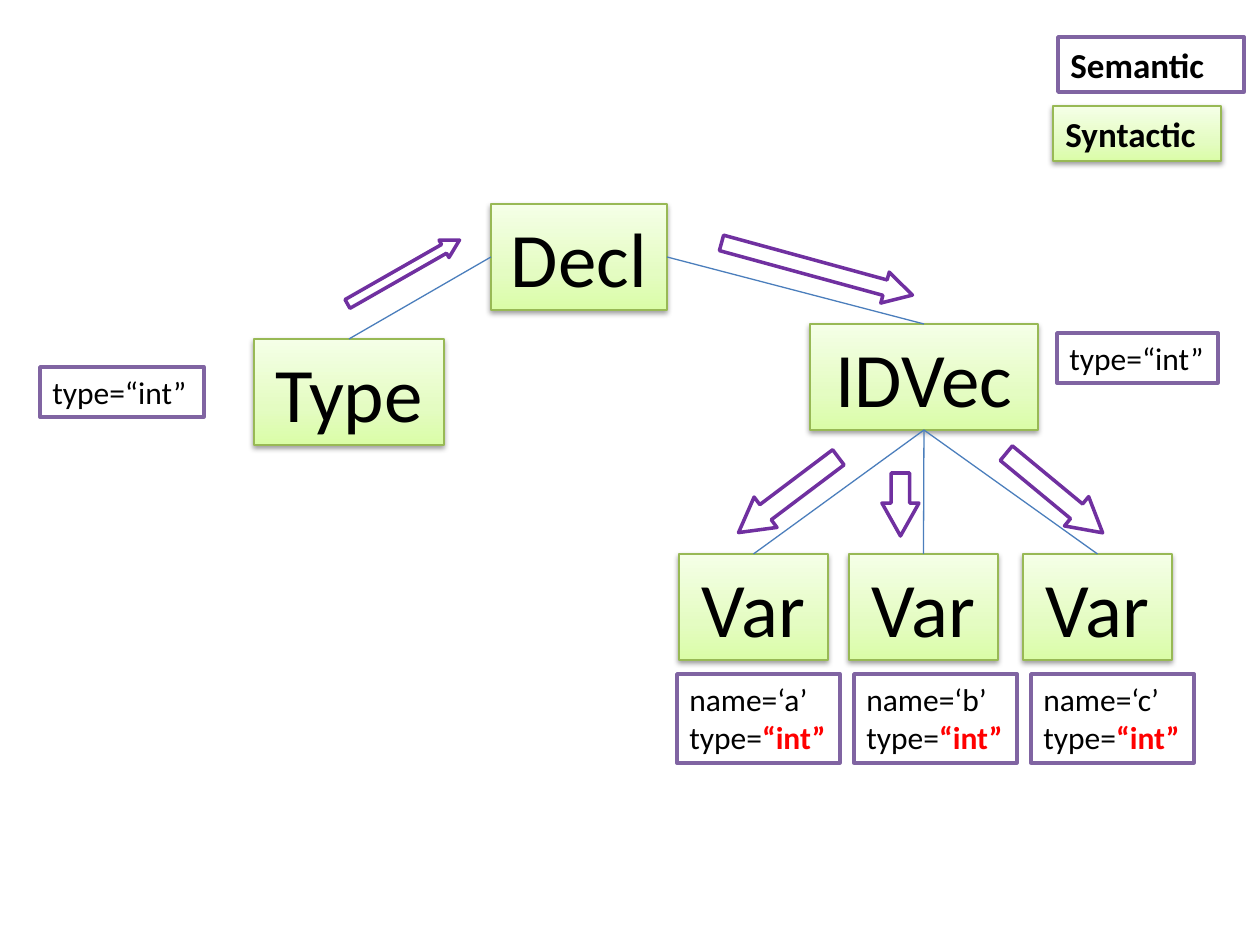
from copy import deepcopy

from lxml.etree import SubElement
from pptx import Presentation
from pptx.dml.color import RGBColor
from pptx.enum.shapes import MSO_CONNECTOR, MSO_SHAPE
from pptx.enum.text import MSO_ANCHOR, MSO_AUTO_SIZE, PP_ALIGN
from pptx.oxml.ns import qn
from pptx.util import Emu, Pt

TOP, LEFT, BOTTOM, RIGHT = range(4)


def px(length):
    return Emu(round(length * 914400 / 126))


def color(value):
    return RGBColor.from_string(value)


class TreeSlide:
    font = "Calibri"
    black, white, red = "000000", "FFFFFF", "FF0000"
    green_line, blue, violet, purple = "98B955", "4B7EBC", "8064A2", "7030A0"
    green_stops = [(0, "DAFDA7"), (0.35, "E4FCC2"), (1, "F5FFE7")]

    def __init__(self, deck):
        self.page = deck.slides.add_slide(deck.slide_layouts[6])

    def shape(self, kind, area, line, width):
        shape = self.page.shapes.add_shape(kind, *map(px, area))
        shape.shadow.inherit = False
        shape.fill.solid()
        shape.fill.fore_color.rgb = color(self.white)
        shape.line.color.rgb = color(line)
        shape.line.width = Pt(width)
        return shape

    def add_text(self, box, paragraphs, size, align=PP_ALIGN.LEFT, bold=False, wrap=True):
        """Each paragraph is a list of (text, format values) spans."""
        frame = box.text_frame
        settings = {"word_wrap": wrap, "vertical_anchor": MSO_ANCHOR.TOP,
                    "auto_size": MSO_AUTO_SIZE.SHAPE_TO_FIT_TEXT}
        for name, value in settings.items():
            setattr(frame, name, value)
        for index, spans in enumerate(paragraphs):
            para = frame.add_paragraph() if index else frame.paragraphs[0]
            para.alignment = align
            for text, changes in spans:
                span = para.add_run()
                span.text = text
                values = {"name": self.font, "size": Pt(size), "bold": bold,
                          "color": self.black, **changes}
                span.font.color.rgb = color(values.pop("color"))
                for name, value in values.items():
                    setattr(span.font, name, value)

    def green_box(self, area, text, size=44, align=PP_ALIGN.CENTER, bold=False):
        box = self.shape(MSO_SHAPE.RECTANGLE, area, self.green_line, 0.75)
        box.fill.gradient()
        box.fill.gradient_angle = 90
        properties = box._element.spPr
        stop_list = properties.find(qn("a:gradFill")).find(qn("a:gsLst"))
        stop_list.append(deepcopy(stop_list[0]))
        for stop, (position, shade) in zip(box.fill.gradient_stops, self.green_stops):
            stop.position = position
            stop.color.rgb = color(shade)
        # Soft shadow straight below
        shadow = SubElement(properties.find(qn("a:effectLst")), qn("a:outerShdw"),
                            blurRad=str(Pt(3.1)), dist=str(Pt(1.6)),
                            dir="5400000", rotWithShape="0")
        shade = SubElement(shadow, qn("a:srgbClr"), val=self.black)
        SubElement(shade, qn("a:alpha"), val="38000")
        self.add_text(box, [[(text, {})]], size, align, bold)
        return box

    def violet_box(self, area, paragraphs, size=18, bold=False, wrap=False):
        box = self.shape(MSO_SHAPE.RECTANGLE, area, self.violet, 2)
        self.add_text(box, paragraphs, size, bold=bold, wrap=wrap)

    def edge(self, parent, parent_side, child):
        line = self.page.shapes.add_connector(MSO_CONNECTOR.STRAIGHT, 0, 0, 0, 0)
        line.begin_connect(parent, parent_side)
        line.end_connect(child, TOP)
        line.line.color.rgb = color(self.blue)
        line.line.width = Pt(0.75)
        SubElement(line._element.spPr, qn("a:effectLst"))

    def flow_arrow(self, area, rotation):
        arrow = self.shape(MSO_SHAPE.LEFT_ARROW, area, self.purple, 2)
        arrow.adjustments[0] = 0.5
        arrow.adjustments[1] = 0.891
        arrow.rotation = rotation


def main():
    deck = Presentation()
    deck.slide_width, deck.slide_height = px(1260), px(945)
    tree = TreeSlide(deck)

    # Legend
    tree.violet_box((1058, 37, 186, 55), [[("Semantic", {})]], 20, bold=True, wrap=True)
    tree.green_box((1053, 106, 168, 55), "Syntactic", 20, PP_ALIGN.LEFT, bold=True)

    # Syntax tree
    declaration = tree.green_box((491, 204, 176, 106), "Decl")
    type_node = tree.green_box((254, 339, 190, 106), "Type")
    id_vector = tree.green_box((810, 324, 228, 106), "IDVec")
    tree.edge(declaration, LEFT, type_node)
    tree.edge(declaration, RIGHT, id_vector)

    # Variables with their attributes
    highlight = {"color": tree.red, "bold": True}
    for index, (letter, left) in enumerate(zip("abc", (679, 849, 1023))):
        variable = tree.green_box((left, 554, 149, 106), "Var")
        tree.edge(id_vector, BOTTOM, variable)
        tree.violet_box((677 + 177 * index, 674, 163, 89),
                        [[(f"name=‘{letter}’", {})],
                         [("type=", {}), ("“int”", highlight)]])

    # Type attributes
    for area in [(40, 367, 164, 50), (1057, 333, 161, 50)]:
        tree.violet_box(area, [[("type=“int”", {})]])

    # Attribute flow
    for area, rotation in [((339, 262, 129, 20), 150.3),
                           ((718, 253, 198, 32), 195.3),
                           ((869, 486, 63, 37), 270),
                           ((726, 476, 125, 38), 323),
                           ((992, 474, 125, 38), 219.6)]:
        tree.flow_arrow(area, rotation)

    deck.save("out.pptx")


if __name__ == "__main__":
    main()
